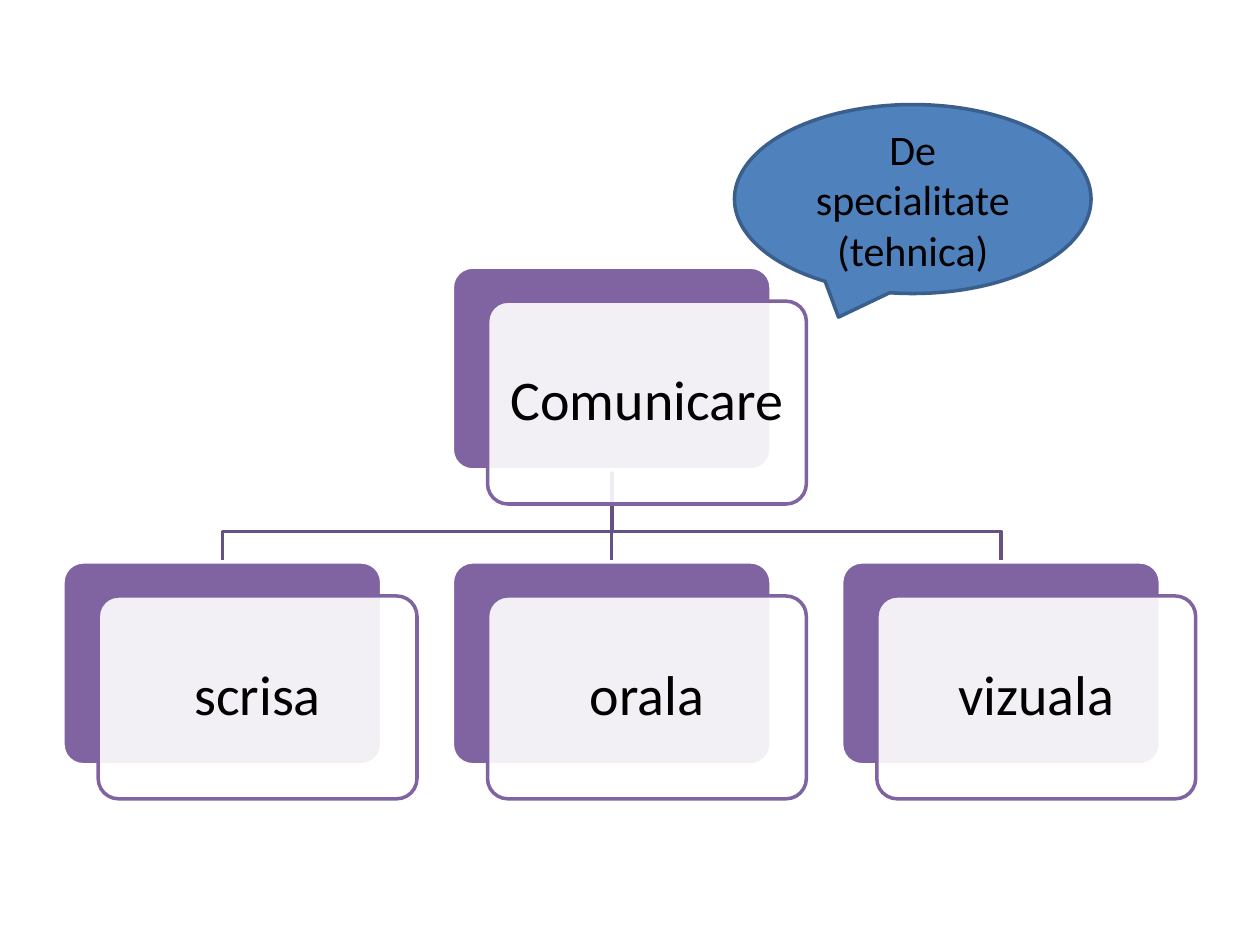
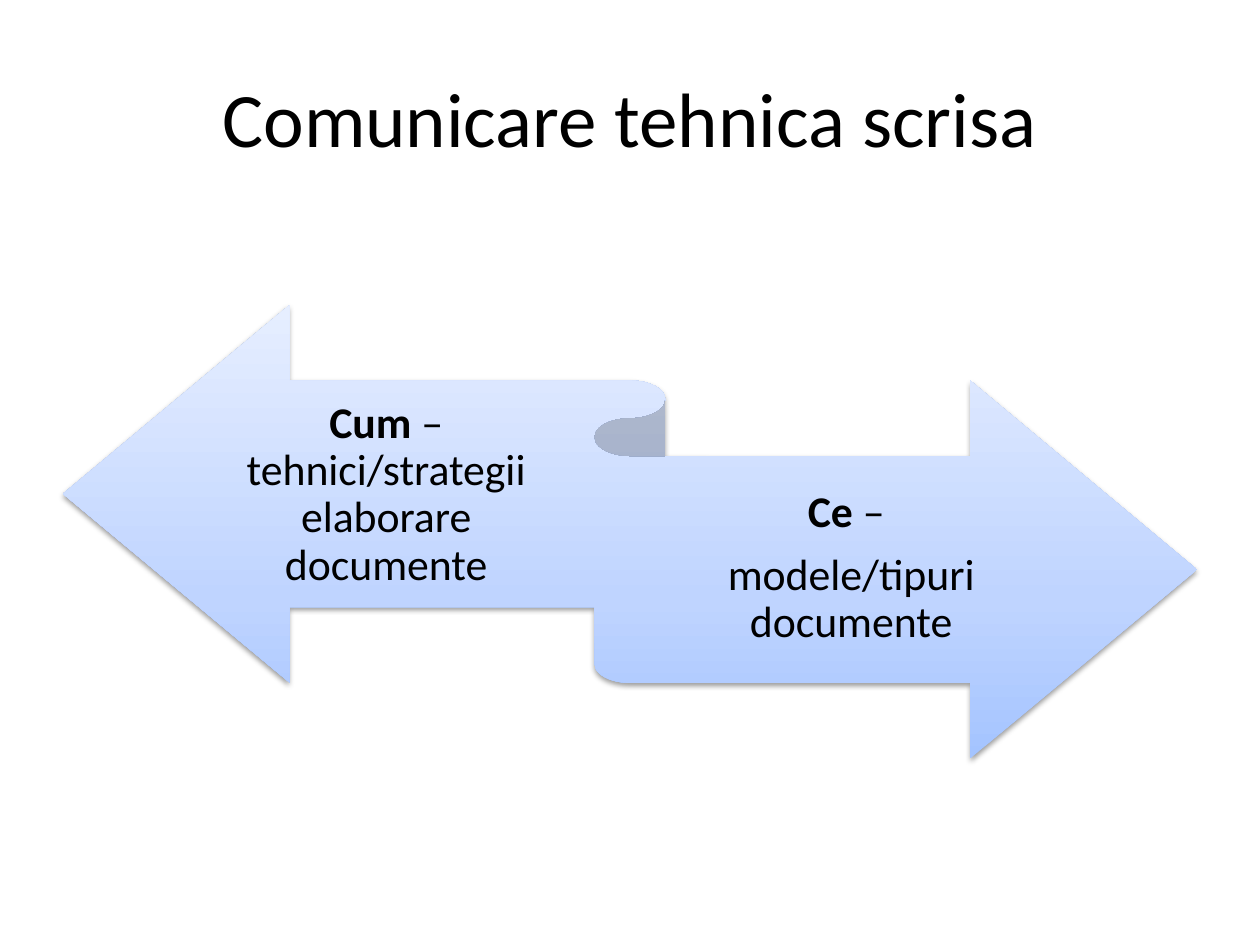
import copy

import pptx
import pptx.dml.color
import pptx.enum.shapes
import pptx.enum.text
import pptx.oxml
import pptx.oxml.ns
import pptx.util

Inches = pptx.util.Inches
Pt = pptx.util.Pt
SHAPE = pptx.enum.shapes.MSO_SHAPE
qn = pptx.oxml.ns.qn

COLORS = {
    "text": "000000",
    "white": "FFFFFF",
    "purple": "8064A2",
    "link": "675082",
    "callout": "4F81BD",
    "callout_line": "3A5F8C",
    "ribbon_dark": "A4C4FF",
    "ribbon_mid": "BFD4FF",
    "ribbon_light": "E6EEFF",
}
FONT = "Calibri"
NODE_W, NODE_H = 2.53, 1.61
PANEL_DX, PANEL_DY = 0.28, 0.27
LEFT, STEP = 0.5, 3.09
ROOT_Y, CHILD_Y, BEND_Y = 2.12, 4.46, 4.22


class Deck:
    def __init__(self):
        self.prs = pptx.Presentation()
        self.prs.slide_width = Inches(10)
        self.prs.slide_height = Inches(7.5)
        self.slide = None

    def rgb(self, name):
        return pptx.dml.color.RGBColor.from_string(COLORS[name])

    def new_slide(self, layout):
        self.slide = self.prs.slides.add_slide(self.prs.slide_layouts[layout])

    def line(self, sp, color):
        sp.line.color.rgb = self.rgb(color)
        sp.line.width = Pt(2)

    def text(self, sp, paragraphs, size, inset=(0.1, 0.05), spacing=None, after=0):
        tf = sp.text_frame
        tf.word_wrap = True
        tf.vertical_anchor = pptx.enum.text.MSO_ANCHOR.MIDDLE
        tf.margin_left = tf.margin_right = Inches(inset[0])
        tf.margin_top = tf.margin_bottom = Inches(inset[1])
        for i, (bold, plain) in enumerate(paragraphs):
            p = tf.add_paragraph() if i else tf.paragraphs[0]
            p.alignment = pptx.enum.text.PP_ALIGN.CENTER
            p.line_spacing = spacing
            p.space_after = Pt(after)
            for content, is_bold in ((bold, True), (plain, False)):
                if content:
                    r = p.add_run()
                    r.text = content
                    r.font.name = FONT
                    r.font.size = Pt(size)
                    r.font.bold = is_bold
                    r.font.color.rgb = self.rgb("text")

    def title(self, content):
        sp = self.slide.shapes.title
        sp.left, sp.top = Inches(0.5), Inches(0.3)
        sp.width, sp.height = Inches(9), Inches(1.25)
        self.text(sp, [("", content)], 44)

    def shape(self, kind, x, y, w, h, fill, line, alpha=None):
        sp = self.slide.shapes.add_shape(kind, Inches(x), Inches(y), Inches(w), Inches(h))
        sp.shadow.inherit = False
        sp.fill.solid()
        sp.fill.fore_color.rgb = self.rgb(fill)
        self.line(sp, line)
        if alpha:
            clr = sp._element.spPr.find(qn("a:solidFill"))[0]
            clr.append(clr.makeelement(qn("a:alpha"), {"val": str(alpha * 1000)}))
        return sp

    def node(self, x, y, label):
        card = self.shape(SHAPE.ROUNDED_RECTANGLE, x, y, NODE_W, NODE_H, "purple", "white")
        panel = self.shape(SHAPE.ROUNDED_RECTANGLE, x + PANEL_DX, y + PANEL_DY,
                           NODE_W, NODE_H, "white", "purple", alpha=90)
        for sp in (card, panel):
            sp.adjustments[0] = 0.1
        self.text(panel, [("", label)], 32, inset=(0.1, 0.1), spacing=0.9)

    def straight_link(self, x, y1, y2):
        cx = self.slide.shapes.add_connector(
            pptx.enum.shapes.MSO_CONNECTOR.STRAIGHT, Inches(x), Inches(y1), Inches(x), Inches(y2))
        self.line(cx, "link")
        spPr = cx._element.spPr
        spPr.append(spPr.makeelement(qn("a:effectLst"), {}))

    def bent_link(self, x1, y1, x2, y2):
        fb = self.slide.shapes.build_freeform(Inches(x1), Inches(y1))
        points = [(x1, BEND_Y), (x2, BEND_Y), (x2, y2)]
        fb.add_line_segments([(Inches(x), Inches(y)) for x, y in points], close=False)
        sp = fb.convert_to_shape()
        sp.shadow.inherit = False
        sp.fill.background()
        self.line(sp, "link")

    def callout(self, x, y, w, h, content):
        sp = self.shape(SHAPE.OVAL_CALLOUT, x, y, w, h, "callout", "callout_line")
        self.text(sp, [("", content)], 24)

    def ribbon(self, x, y, w, h):
        sp = self.slide.shapes.add_shape(
            SHAPE.LEFT_RIGHT_RIBBON, Inches(x), Inches(y), Inches(w), Inches(h))
        sp.fill.gradient()
        sp.fill.gradient_angle = 90
        spPr = sp._element.spPr
        stops = spPr.find(qn("a:gradFill")).find(qn("a:gsLst"))
        stops.insert(1, copy.deepcopy(stops[0]))
        colors = ((0, "ribbon_dark"), (0.35, "ribbon_mid"), (1, "ribbon_light"))
        for stop, (position, color) in zip(sp.fill.gradient_stops, colors):
            stop.position = position
            stop.color.rgb = self.rgb(color)
        sp.line.fill.background()
        sp.shadow.inherit = False
        spPr.find(qn("a:effectLst")).append(pptx.oxml.parse_xml(
            f'<a:outerShdw {pptx.oxml.ns.nsdecls("a")} blurRad="{Pt(3.1)}" dist="{Pt(1.6)}" '
            'dir="5400000" rotWithShape="0"><a:srgbClr val="000000">'
            '<a:alpha val="38000"/></a:srgbClr></a:outerShdw>'))

    def ribbon_text(self, x, y, w, h, paragraphs):
        sp = self.slide.shapes.add_textbox(Inches(x), Inches(y), Inches(w), Inches(h))
        self.text(sp, paragraphs, 25, inset=(0, 0.1), spacing=0.9, after=9)


deck = Deck()

deck.new_slide(6)
columns = [LEFT + i * STEP for i in range(3)]
centers = [x + NODE_W / 2 for x in columns]
link_y = ROOT_Y + NODE_H
deck.bent_link(centers[1], link_y, centers[2], CHILD_Y)
deck.straight_link(centers[1], link_y, CHILD_Y)
deck.bent_link(centers[1], link_y, centers[0], CHILD_Y)
deck.node(columns[1], ROOT_Y, "Comunicare")
for x, label in zip(columns, ("scrisa", "orala", "vizuala")):
    deck.node(x, CHILD_Y, label)
deck.callout(5.83, 0.83, 2.83, 1.5, "De specialitate (tehnica)")

deck.new_slide(5)
deck.title("Comunicare tehnica scrisa")
deck.ribbon(0.5, 2.42, 9, 3.6)
deck.ribbon_text(1.58, 3.05, 2.97, 1.76,
                 [("Cum ", "– tehnici/strategii elaborare documente")])
deck.ribbon_text(5, 3.63, 3.51, 1.76,
                 [("Ce", " – "), ("", "modele/tipuri documente")])

deck.prs.save("out.pptx")
